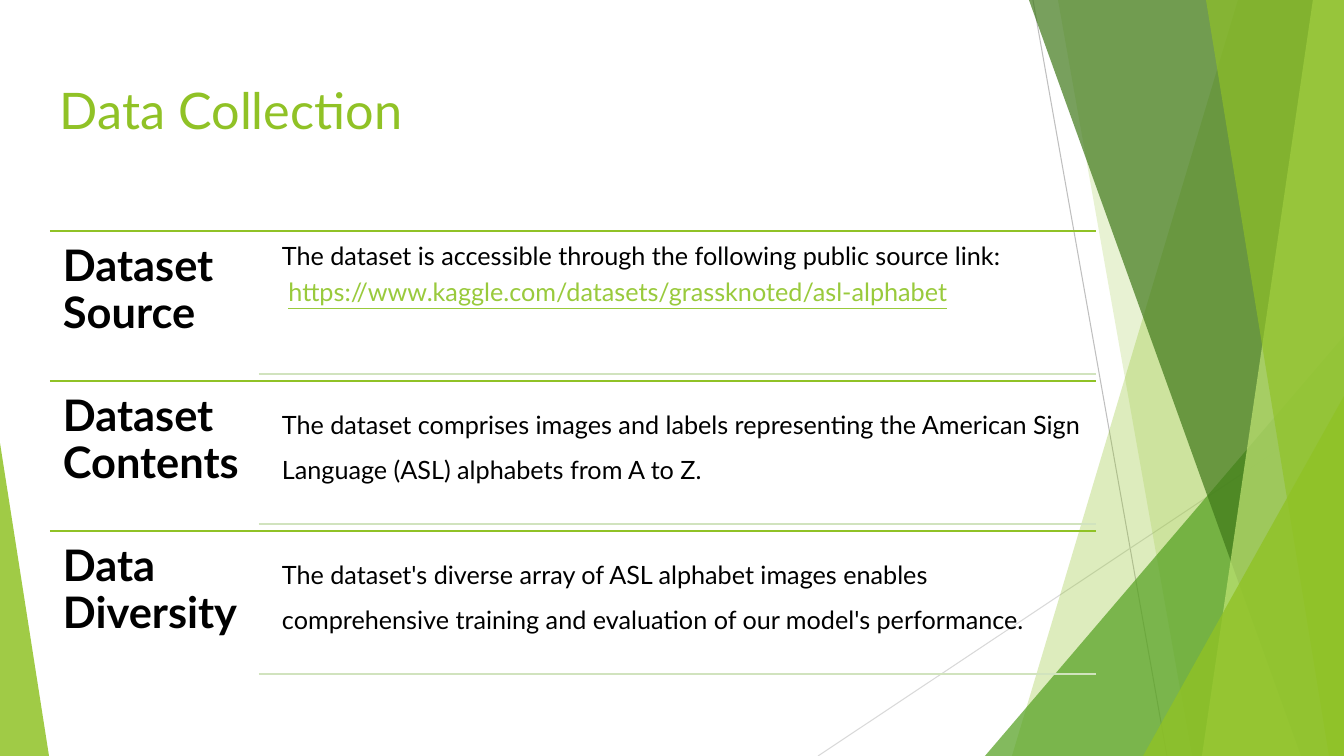
from lxml import etree
from pptx import Presentation
from pptx import util as u
from pptx.dml.color import RGBColor
from pptx.enum import shapes, text
from pptx.oxml.ns import qn

LIME = RGBColor(0x90, 0xC2, 0x26)
GREEN = RGBColor(0x54, 0xA0, 0x21)
FOREST = RGBColor(0x3F, 0x78, 0x19)
PALE_LIME = RGBColor(0xC0, 0xE4, 0x74)
LINK = RGBColor(0x99, 0xCA, 0x3C)
PALE_RULE = RGBColor(0xD1, 0xE3, 0xBE)
GREY = RGBColor(0xBF, 0xBF, 0xBF)
LIGHT_GREY = RGBColor(0xD9, 0xD9, 0xD9)
BLACK = RGBColor(0, 0, 0)

FONT = "Lato"
PX = 914400 / 100.8
WIDTH, HEIGHT = 1344, 756

TITLE = "Data Collection"
# heading, line spacing, paragraphs of (text, is link) runs
ROWS = [
    ("Dataset Source", 0.9, [
        [("The dataset is accessible through the following public source link:", False)],
        [(" ", False),
         ("https://www.kaggle.com/datasets/grassknoted/asl-alphabet", True)],
    ]),
    ("Dataset Contents", 1.5, [
        [("The dataset comprises images and labels representing the American Sign "
          "Language (ASL) alphabets from A to Z.", False)],
    ]),
    ("Data Diversity", 1.5, [
        [("The dataset's diverse array of ASL alphabet images enables comprehensive "
          "training and evaluation of our model's performance.", False)],
    ]),
]

HAIRLINES = [((1033, 0), (1167, 756), GREY), ((1344, 406), (818, 756), LIGHT_GREY)]

# From back to front. A shard has its left edge's x at top and bottom and runs
# to the right slide edge; a wedge has left, top, width and apex position.
DECORATION = [
    ("shard", (1238, 1012), LIME, 30),
    ("shard", (1058, 1192), LIME, 20),
    ("wedge", (985, 336, 359, 1), GREEN, 72),
    ("shard", (1029, 1301), FOREST, 70),
    ("shard", (1313, 1202), PALE_LIME, 70),
    ("shard", (1206, 1329), LIME, 65),
    ("wedge", (1143, 396, 201, 1), LIME, 80),
    ("wedge", (0, 443, 49, 0), LIME, 85),
]

LEFT, RIGHT = 50, 1096
ROWS_TOP, ROW_PITCH = 231, 150
HEADING_WIDTH = 209
BODY_LEFT, BODY_OFFSET, BODY_HEIGHT = 275, 6, 136
RULE_OFFSET = 143


def px(length):
    return u.Emu(round(length * PX))


def add_line(slide, start, end, color, width):
    line = slide.shapes.add_connector(
        shapes.MSO_CONNECTOR.STRAIGHT, *map(px, (*start, *end)))
    line.line.color.rgb = color
    line.line.width = u.Pt(width)
    etree.SubElement(line._element.spPr, qn("a:effectLst"))


def add_decoration(slide, kind, place, color, opacity):
    if kind == "shard":
        top_x, bottom_x = place
        outline = slide.shapes.build_freeform(top_x, 0, scale=PX)
        outline.add_line_segments([(WIDTH, 0), (WIDTH, HEIGHT), (bottom_x, HEIGHT)])
        facet = outline.convert_to_shape()
    else:
        left, top, width, apex = place
        facet = slide.shapes.add_shape(
            shapes.MSO_SHAPE.ISOSCELES_TRIANGLE,
            *map(px, (left, top, width, HEIGHT - top)))
        facet.adjustments[0] = apex
    facet.shadow.inherit = False
    facet.line.fill.background()
    facet.fill.solid()
    facet.fill.fore_color.rgb = color
    color_xml = facet._element.spPr.find(qn("a:solidFill"))[0]
    etree.SubElement(color_xml, qn("a:alpha"), val=str(opacity * 1000))


def add_text(slide, box, paragraphs, size, color=BLACK, bold=False,
             spacing=1.0, after=0, inset=(10, 5)):
    """Write paragraphs of (text, is link) runs; inset is (sides, top and bottom)."""
    frame = slide.shapes.add_textbox(*map(px, box)).text_frame
    frame.word_wrap = True
    frame.vertical_anchor = text.MSO_ANCHOR.TOP
    frame.margin_left = frame.margin_right = px(inset[0])
    frame.margin_top = frame.margin_bottom = px(inset[1])
    for number, runs in enumerate(paragraphs):
        paragraph = frame.add_paragraph() if number else frame.paragraphs[0]
        paragraph.line_spacing = spacing
        paragraph.space_after = u.Pt(after)
        for words, is_link in runs:
            run = paragraph.add_run()
            run.text = words
            run.font.name = FONT
            run.font.size = u.Pt(size)
            run.font.bold = bold
            run.font.underline = is_link
            run.font.color.rgb = LINK if is_link else color


def add_row(slide, top, heading, spacing, body):
    add_line(slide, (LEFT, top), (RIGHT, top), LIME, 1.5)
    add_text(slide, (LEFT, top, HEADING_WIDTH, ROW_PITCH), [[(heading, False)]],
             31, bold=True, spacing=0.9, inset=(13, 13))
    add_text(slide, (BODY_LEFT, top + BODY_OFFSET, RIGHT - BODY_LEFT, BODY_HEIGHT),
             body, 18, spacing=spacing, after=6.3, inset=(7, 7))
    rule_y = top + RULE_OFFSET
    add_line(slide, (LEFT + HEADING_WIDTH, rule_y), (RIGHT, rule_y), PALE_RULE, 1.5)


def main():
    deck = Presentation()
    deck.slide_width, deck.slide_height = px(WIDTH), px(HEIGHT)
    slide = deck.slides.add_slide(deck.slide_layouts[6])
    for start, end, color in HAIRLINES:
        add_line(slide, start, end, color, 0.75)
    for facet in DECORATION:
        add_decoration(slide, *facet)
    add_text(slide, (LEFT, 74, RIGHT - LEFT, 146), [[(TITLE, False)]], 36, color=LIME)
    for number, row in enumerate(ROWS):
        add_row(slide, ROWS_TOP + number * ROW_PITCH, *row)
    deck.save("out.pptx")


if __name__ == "__main__":
    main()
